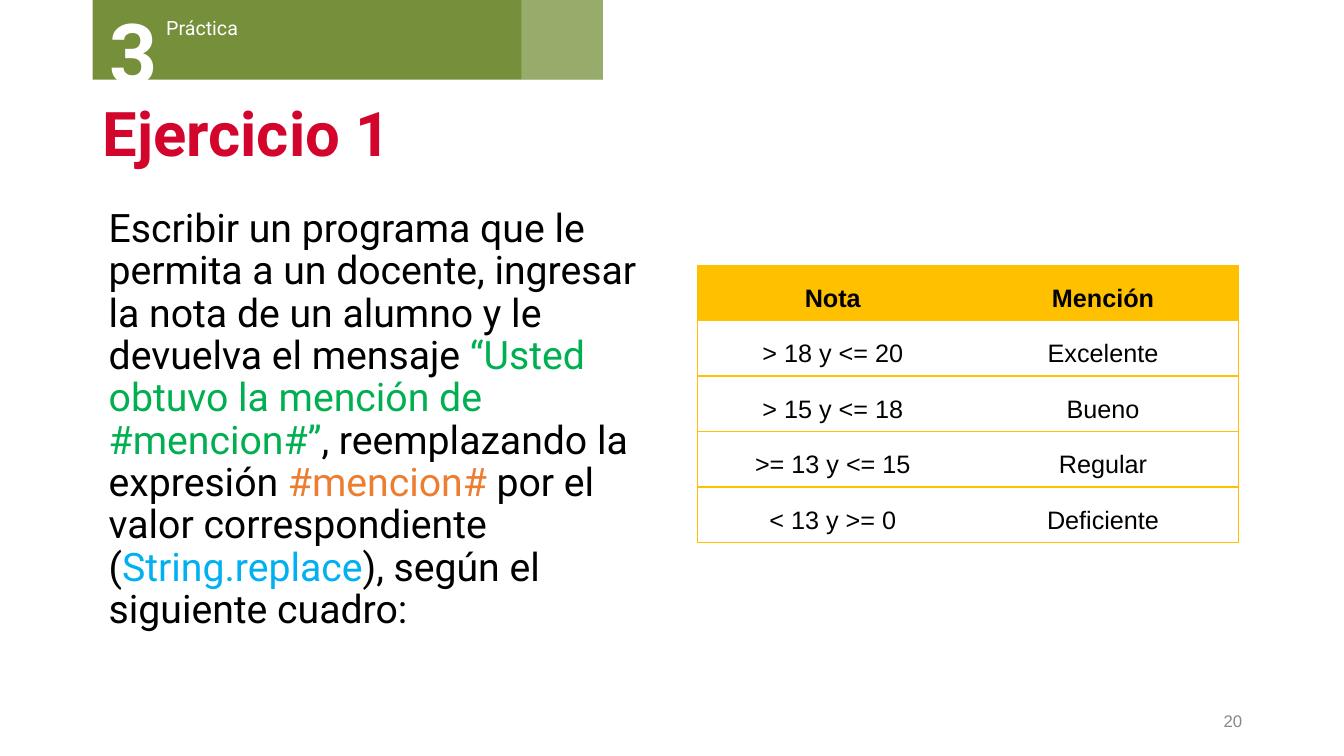
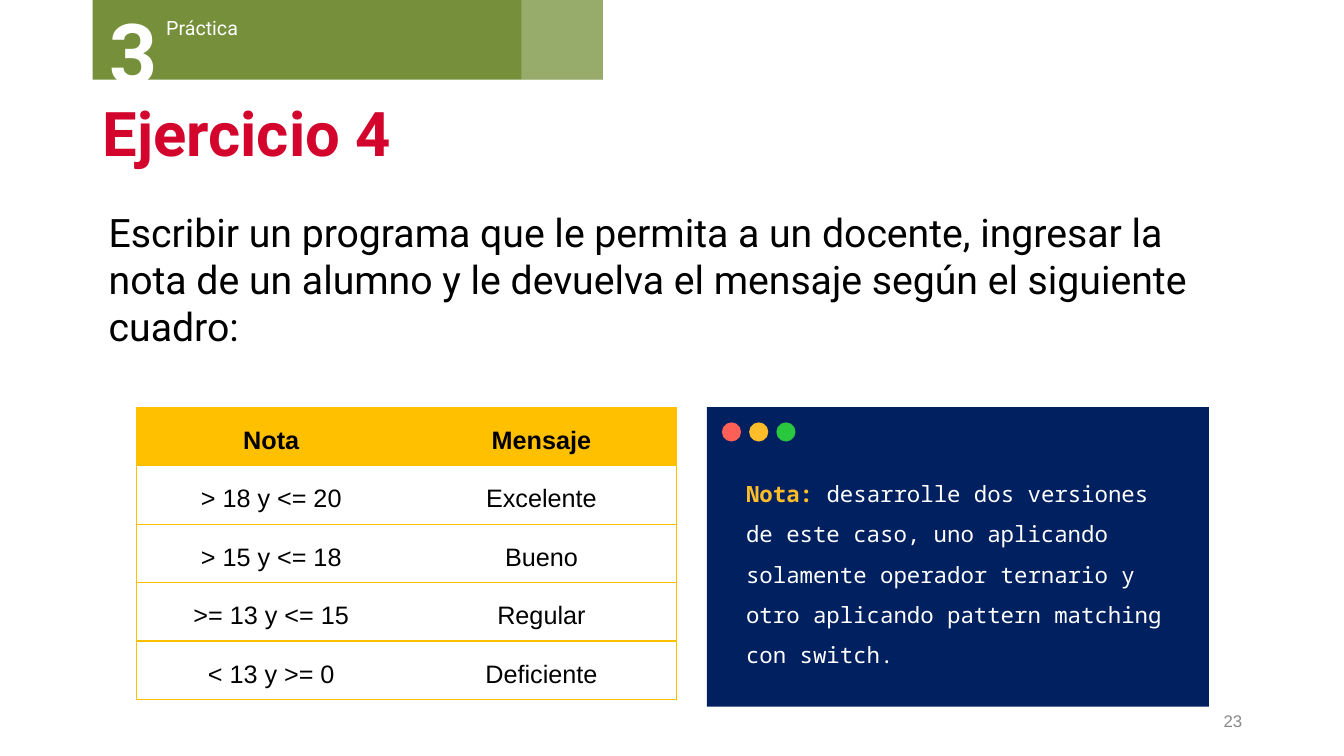
from pptx import Presentation
from pptx.dml.color import RGBColor as RGB
from pptx.enum.shapes import MSO_SHAPE as SHAPE
from pptx.enum.text import MSO_ANCHOR as ANCHOR, PP_ALIGN as ALIGN
from pptx.oxml.ns import qn
from pptx.util import Inches, Pt
from lxml import etree

COLORS = {
    "band": "758F3A", "title": "D3052C", "text": "000000", "white": "FFFFFF",
    "page": "888888", "amber": "FFC000", "message": "00B050",
    "token": "ED7D31", "method": "00B0F0", "panel": "002060",
    "red dot": "FE5F57", "amber dot": "FFBE29", "green dot": "29C83F",
}
FORMATS = {
    "section": {"name": "Roboto", "size": Pt(14)},
    "number": {"name": "Roboto", "size": Pt(60), "bold": True},
    "title": {"name": "Roboto", "size": Pt(44), "bold": True},
    "page": {"name": "Arial", "size": Pt(12)},
    "statement": {"name": "Roboto", "size": Pt(28)},
    "header": {"name": "Arial", "size": Pt(18), "bold": True},
    "cell": {"name": "Arial", "size": Pt(18), "bold": False},
    "code": {"name": "Noto Sans Mono", "size": Pt(16)},
    "code label": {"name": "Noto Sans Mono", "size": Pt(16), "bold": True},
}
GRADES = [
    ("> 18 y <= 20", "Excelente"),
    ("> 15 y <= 18", "Bueno"),
    (">= 13 y <= 15", "Regular"),
    ("< 13 y >= 0", "Deficiente"),
]
EXERCISES = [
    {
        "title": "Ejercicio 1", "page": "20", "width": 5.65, "spacing": 0.9,
        "statement": [
            ("Escribir un programa que le permita a un docente, ingresar la nota "
             "de un alumno y le devuelva el mensaje ", "statement", "text"),
            ("“Usted obtuvo la mención de #mencion#”", "statement", "message"),
            (", reemplazando la expresión ", "statement", "text"),
            ("#mencion#", "statement", "token"),
            (" por el valor correspondiente (", "statement", "text"),
            ("String.replace", "statement", "method"),
            ("), según el siguiente cuadro:", "statement", "text"),
        ],
        "heading": "Mención", "table_at": (6.92, 2.63), "row_height": 0.55,
    },
    {
        "title": "Ejercicio 4", "page": "23", "width": 11.5, "spacing": 1.0,
        "statement": [
            ("Escribir un programa que le permita a un docente, ingresar la nota "
             "de un alumno y le devuelva el mensaje según el siguiente cuadro:",
             "statement", "text"),
        ],
        "heading": "Mensaje", "table_at": (1.35, 4.04), "row_height": 0.58,
        "note": [
            ("Nota: ", "code label", "amber dot"),
            ("desarrolle dos versiones de este caso, uno aplicando solamente "
             "operador ternario y otro aplicando pattern matching con switch.",
             "code", "white"),
        ],
    },
]
COLUMN_WIDTH = 2.68


def write(frame, runs, align=ALIGN.LEFT, spacing=1.0, anchor=ANCHOR.TOP):
    """Fill the first paragraph with (text, format, colour) runs."""
    frame.word_wrap = True
    frame.vertical_anchor = anchor
    paragraph = frame.paragraphs[0]
    paragraph.alignment = align
    paragraph.line_spacing = spacing
    for text, style, color in runs:
        run = paragraph.add_run()
        run.text = text
        for attribute, value in FORMATS[style].items():
            setattr(run.font, attribute, value)
        run.font.color.rgb = RGB.from_string(COLORS[color])
    return paragraph


def add_block(slide, preset, color, *box):
    block = slide.shapes.add_shape(preset, *map(Inches, box))
    block.shadow.inherit = False
    block.fill.solid()
    block.fill.fore_color.rgb = RGB.from_string(COLORS[color])
    block.line.fill.background()
    return block


prs = Presentation()
prs.slide_width, prs.slide_height = Inches(13.33), Inches(7.5)

for exercise in EXERCISES:
    slide = prs.slides.add_slide(prs.slide_layouts[6])

    # Section band, title, page number and statement
    add_block(slide, SHAPE.RECTANGLE, "band", 0.92, -0.01, 5.06, 0.8)
    tint = add_block(slide, SHAPE.RECTANGLE, "white", 5.17, -0.01, 0.81, 0.8)
    tint_color = tint.fill._xPr.find(qn("a:solidFill"))[0]
    etree.SubElement(tint_color, qn("a:alpha"), val="25000")

    texts = [
        ((1.55, 0.11, 2.75, 0.34), [("Práctica", "section", "white")], {}),
        ((0.99, -0.04, 1.12, 1.11), [("3", "number", "white")], {}),
        ((0.92, 0.93, 11.5, 0.86), [(exercise["title"], "title", "title")],
         {"spacing": 0.9, "anchor": ANCHOR.MIDDLE}),
        ((9.42, 6.95, 3, 0.4), [(exercise["page"], "page", "page")],
         {"align": ALIGN.RIGHT, "anchor": ANCHOR.MIDDLE}),
        ((0.92, 2.02, exercise["width"], 4.78), exercise["statement"],
         {"spacing": exercise["spacing"]}),
    ]
    for box, runs, layout in texts:
        frame = slide.shapes.add_textbox(*map(Inches, box)).text_frame
        paragraph = write(frame, runs, **layout)
    # The statement comes last and is slightly indented
    paragraph._p.get_or_add_pPr().set("marL", str(Inches(0.06)))

    # Grade table
    rows = [("Nota", exercise["heading"]), *GRADES]
    left, top = exercise["table_at"]
    height = exercise["row_height"]
    grades = slide.shapes.add_table(
        len(rows), 2, Inches(left), Inches(top),
        Inches(2 * COLUMN_WIDTH), Inches(height * len(rows))).table
    grades.horz_banding = False
    for column in grades.columns:
        column.width = Inches(COLUMN_WIDTH)
    for row_index, row in enumerate(rows):
        grades.rows[row_index].height = Inches(height)
        style, fill = ("cell", "white") if row_index else ("header", "amber")
        for column_index, text in enumerate(row):
            cell = grades.cell(row_index, column_index)
            write(cell.text_frame, [(text, style, "text")], ALIGN.CENTER, 1.5)
            properties = cell._tc.get_or_add_tcPr()
            inner_side = "R" if column_index == 0 else "L"
            for side in "LRTB":
                border = etree.SubElement(
                    properties, qn(f"a:ln{side}"), w=str(Pt(1)))
                if side == inner_side:
                    etree.SubElement(border, qn("a:noFill"))
                else:
                    solid = etree.SubElement(border, qn("a:solidFill"))
                    etree.SubElement(solid, qn("a:srgbClr"), val=COLORS["amber"])
            cell.fill.solid()
            cell.fill.fore_color.rgb = RGB.from_string(COLORS[fill])

    # Code window with its three buttons
    if "note" in exercise:
        window = add_block(slide, SHAPE.RECTANGLE, "panel", 7.01, 4.04, 4.98, 2.97)
        margins = {"left": 0.39, "top": 0.59, "right": 0.39, "bottom": 0.39}
        for side, margin in margins.items():
            setattr(window.text_frame, f"margin_{side}", Inches(margin))
        write(window.text_frame, exercise["note"], spacing=1.5)
        for index, color in enumerate(("red dot", "amber dot", "green dot")):
            add_block(slide, SHAPE.OVAL, color, 7.16 + 0.27 * index, 4.19, 0.19, 0.19)

prs.save("out.pptx")
